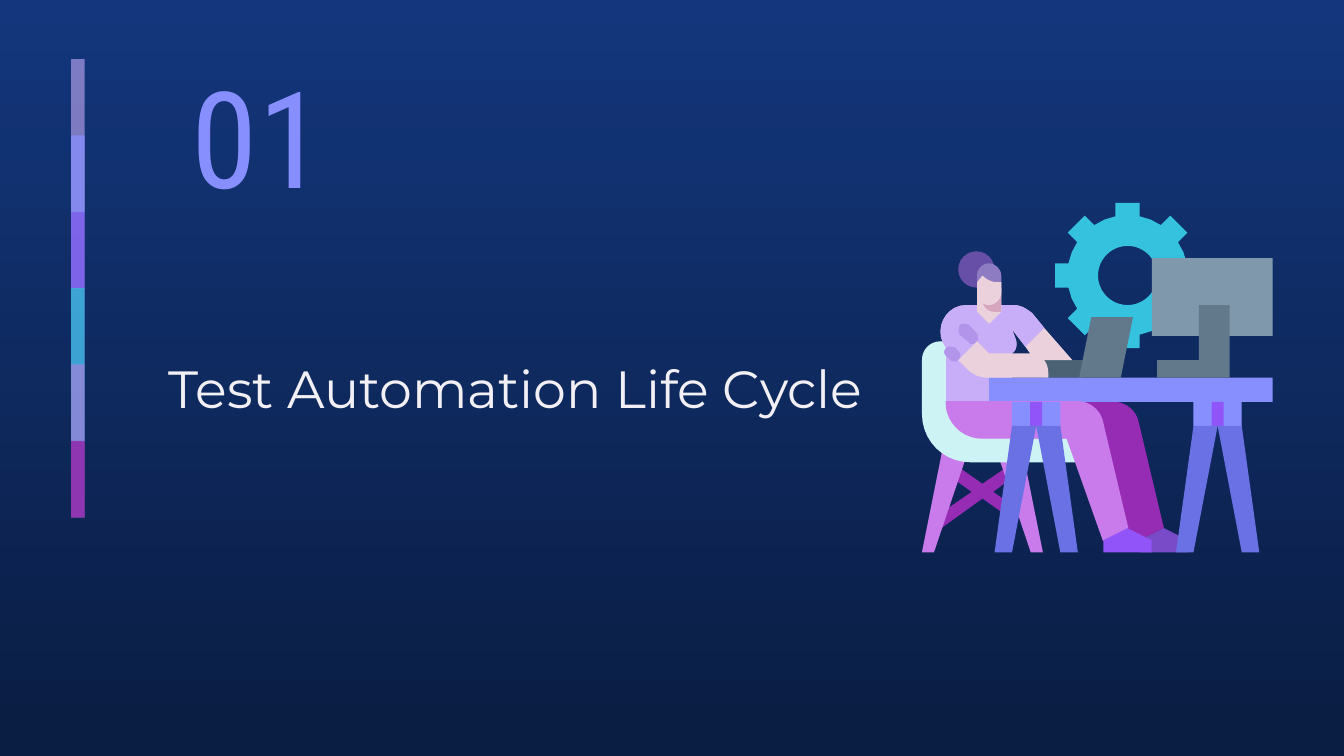
"""Build the section slide "Test Automation Life Cycle" with its desk scene."""
from math import cos, pi, sin

from lxml.etree import SubElement
from pptx import Presentation
from pptx.dml.color import RGBColor as RGB
from pptx.enum.shapes import MSO_SHAPE as Preset
from pptx.enum.text import MSO_ANCHOR as Anchor, PP_ALIGN as Align
from pptx.oxml.ns import qn
from pptx.util import Inches, Pt

NIGHT_TOP = RGB(0x13, 0x36, 0x7C)
NIGHT_BOTTOM = RGB(0x0A, 0x1D, 0x42)
WHITE = RGB(0xF2, 0xF0, 0xF4)
PERIWINKLE = RGB(0x87, 0x8F, 0xFF)
INDIGO = RGB(0x69, 0x71, 0xE5)
VIOLET = RGB(0x91, 0x54, 0xF8)
DARK_VIOLET = RGB(0x79, 0x4B, 0xC8)
ORCHID = RGB(0xCA, 0x7B, 0xEB)
MAGENTA = RGB(0x97, 0x2C, 0xB4)
LILAC = RGB(0xC8, 0xAE, 0xF8)
FOLD = RGB(0xB3, 0x94, 0xEB)
TEAL = RGB(0x35, 0xC2, 0xDF)
ICE = RGB(0xCE, 0xF3, 0xF5)
SKIN = RGB(0xEA, 0xD1, 0xDC)
SKIN_SHADE = RGB(0xD5, 0xA6, 0xBD)
BUN = RGB(0x67, 0x4E, 0xA7)
HAIR = RGB(0x8E, 0x7C, 0xC3)
STEEL = RGB(0x62, 0x79, 0x8C)
DARK_STEEL = RGB(0x4B, 0x62, 0x75)
SCREEN = RGB(0x80, 0x98, 0xAB)

STRIPES = [(LILAC, 59), (PERIWINKLE, 74), (VIOLET, 53),
           (TEAL, 76), (ORCHID, 56), (MAGENTA, 74)]

CHAIR_SEAT = [(7, 2.54), (6.92, 2.54, 6.86, 2.6, 6.86, 2.68), (6.86, 3.08),
              (6.86, 3.28, 7.02, 3.44, 7.22, 3.44), (8.07, 3.44), (8.07, 3.22),
              (7.31, 3.22), (7.19, 3.22, 7.09, 3.12, 7.09, 2.99), (7.09, 2.54)]
CHAIR_BRACE = [(7.11, 3.46), (7.06, 3.54), (7.23, 3.66), (6.94, 3.86), (6.99, 3.94),
               (7.31, 3.71), (7.48, 3.83), (7.53, 3.76), (7.39, 3.66), (7.55, 3.54),
               (7.5, 3.47), (7.31, 3.6)]
CHAIR_LEG = [(7.4, 3.31), (7.67, 4.11), (7.76, 4.11), (7.6, 3.31)]
TORSO = [(7.19, 2.27), (7.03, 2.27, 6.94, 2.46, 7.04, 2.59), (7.04, 2.99), (7.53, 2.99),
         (7.53, 2.63), (7.56, 2.61, 7.57, 2.57, 7.56, 2.53), (7.53, 2.45), (7.63, 2.58)]
FAR_FOREARM = [(7.7, 2.68), (7.98, 2.68)]
FAR_SHOULDER = [(7.77, 2.44), (7.68, 2.33), (7.64, 2.3, 7.6, 2.27, 7.54, 2.27)]
LOWER_FOLD = [(7.07, 2.58), (7.06, 2.58, 7.05, 2.58, 7.04, 2.59),
              (7.02, 2.61, 7.02, 2.63, 7.04, 2.65), (7.07, 2.68),
              (7.08, 2.69, 7.09, 2.69, 7.1, 2.69), (7.11, 2.69, 7.12, 2.69, 7.13, 2.68),
              (7.15, 2.66, 7.15, 2.63, 7.13, 2.61), (7.11, 2.59),
              (7.1, 2.58, 7.08, 2.58, 7.07, 2.58)]
UPPER_FOLD = [(7.18, 2.41), (7.17, 2.41, 7.15, 2.41, 7.14, 2.42),
              (7.13, 2.44, 7.13, 2.47, 7.14, 2.49), (7.2, 2.54),
              (7.21, 2.55, 7.22, 2.56, 7.23, 2.56), (7.25, 2.56, 7.26, 2.55, 7.27, 2.54),
              (7.28, 2.53, 7.28, 2.5, 7.27, 2.48), (7.21, 2.42),
              (7.2, 2.41, 7.19, 2.41, 7.18, 2.41)]
NECK = [(7.27, 2.14), (7.27, 2.32), (7.36, 2.41), (7.45, 2.32), (7.45, 2.14)]
NEAR_FOREARM = [(7.27, 2.54), (7.13, 2.68), (7.21, 2.76), (7.25, 2.79, 7.29, 2.81, 7.34, 2.81),
                (7.8, 2.81), (7.8, 2.77), (7.8, 2.69, 7.74, 2.63, 7.67, 2.63), (7.36, 2.63)]
LAPTOP_LID = [(8.12, 2.36), (8.03, 2.81), (8.34, 2.81), (8.43, 2.36)]
THIGH = [(7.04, 2.99), (7.04, 3.14, 7.16, 3.26, 7.31, 3.26), (7.94, 3.26)]
SHIN = [(8.21, 4.02), (8.39, 3.93), (8.2, 3.13), (8.18, 3.05, 8.1, 2.99, 8.02, 2.99)]
FAR_HEEL = [(8.39, 4.02)]
SHOE = [(8.39, 3.93), (8.21, 4.02), (8.21, 4.11), (8.57, 4.11), (8.57, 4.02)]
MONITOR_STAND = [(8.92, 2.27), (8.92, 2.68), (8.61, 2.68), (8.61, 2.81), (9.15, 2.81), (9.15, 2.27)]
CHIN_SHADE = [(7.31, 2.14), (7.31, 2.23), (7.31, 2.28, 7.35, 2.32, 7.4, 2.32),
              (7.45, 2.32), (7.45, 2.14)]
HAIRLINE = [(7.36, 1.96), (7.31, 1.96, 7.27, 2, 7.27, 2.05), (7.27, 2.14), (7.45, 2.14),
            (7.45, 2.05), (7.45, 2, 7.4, 1.96, 7.36, 1.96)]
FACE = [(7.31, 2.05), (7.27, 2.1), (7.27, 2.18), (7.27, 2.23, 7.31, 2.27, 7.36, 2.27),
        (7.4, 2.27, 7.45, 2.23, 7.45, 2.18), (7.45, 2.1), (7.42, 2.1),
        (7.38, 2.1, 7.34, 2.08, 7.31, 2.05)]


def paint(shape, color, border=None):
    shape.shadow.inherit = False
    shape.fill.solid()
    shape.fill.fore_color.rgb = color
    if border:
        shape.line.color.rgb = border
        shape.line.width = Pt(0.75)
    else:
        shape.line.fill.background()


def flatten(steps, pieces=10):
    points = []
    for step in steps:
        if len(step) == 2:
            points.append(step)
            continue
        controls = [points[-1], step[:2], step[2:4], step[4:]]
        for t in (n / pieces for n in range(1, pieces + 1)):
            weights = ((1 - t) ** 3, 3 * t * (1 - t) ** 2, 3 * t * t * (1 - t), t ** 3)
            points.append(tuple(sum(w * c[axis] for w, c in zip(weights, controls))
                                for axis in (0, 1)))
    return points


def add_outline(group, color, *contours, border=None):
    builder = None
    for contour in contours:
        corners = [(Inches(x), Inches(y)) for x, y in flatten(contour)]
        if builder is None:
            builder = group.shapes.build_freeform(*corners[0])
        else:
            builder.move_to(*corners[0])
        builder.add_line_segments(corners[1:], close=True)
    paint(builder.convert_to_shape(), color, border)


def add_preset(group, color, left, top, width, height, preset=Preset.RECTANGLE):
    shape = group.shapes.add_shape(preset, *map(Inches, (left, top, width, height)))
    paint(shape, color)
    return shape


def mirror(points, axis):
    return [(2 * axis - x, y) for x, y in points]


def shift(steps, dx):
    return [tuple(v + dx if i % 2 == 0 else v for i, v in enumerate(step)) for step in steps]


def add_gear(group, cx, cy):
    rim = []
    for turn in (n * pi / 4 for n in range(8)):
        tooth = [(-0.09, -0.44), (-0.09, -0.54), (0.09, -0.54), (0.09, -0.44)]
        rim += [(cx + x * cos(turn) - y * sin(turn), cy + x * sin(turn) + y * cos(turn))
                for x, y in tooth]
        rim.append((cx + 0.45 * sin(turn + pi / 8), cy - 0.45 * cos(turn + pi / 8)))
    hole = [(cx + 0.22 * cos(n * pi / 24), cy - 0.22 * sin(n * pi / 24)) for n in range(48)]
    add_outline(group, TEAL, rim, hole)


def add_trestle(group, cx):
    add_preset(group, PERIWINKLE, cx - 0.18, 2.99, 0.36, 0.18)
    add_preset(group, VIOLET, cx - 0.09 / 2, 2.99, 0.09, 0.18)
    leg = [(cx - 0.18, 3.17), (cx - 0.31, 4.11), (cx - 0.18, 4.11), (cx, 3.17)]
    add_outline(group, INDIGO, leg)
    add_outline(group, INDIGO, mirror(leg, cx))


def add_desk_scene(slide):
    scene = slide.shapes.add_group_shape()
    add_gear(scene, 8.39, 2.05)
    add_preset(scene, DARK_STEEL, 7.76, 2.68, 0.31, 0.13)
    for color, outline in ((MAGENTA, CHAIR_BRACE), (ORCHID, CHAIR_LEG),
                           (ORCHID, mirror(CHAIR_LEG, 7.31)), (ICE, CHAIR_SEAT),
                           (MAGENTA, shift(THIGH, 0.27) + FAR_HEEL + shift(SHIN, 0.27)),
                           (DARK_VIOLET, shift(SHOE, 0.27)),
                           (SKIN, TORSO + FAR_FOREARM + FAR_SHOULDER),
                           (LILAC, TORSO + FAR_SHOULDER)):
        add_outline(scene, color, outline)
    add_preset(scene, PERIWINKLE, 7.36, 2.81, 2.11, 0.18)
    for color, outline in ((FOLD, LOWER_FOLD), (FOLD, UPPER_FOLD), (SKIN, NECK),
                           (SKIN, NEAR_FOREARM), (STEEL, LAPTOP_LID)):
        add_outline(scene, color, outline)
    add_outline(scene, ORCHID, THIGH + SHIN, border=ORCHID)
    add_outline(scene, VIOLET, SHOE)
    add_preset(scene, SCREEN, 8.57, 1.92, 0.9, 0.58)
    add_outline(scene, STEEL, MONITOR_STAND)
    add_trestle(scene, 9.06)
    add_trestle(scene, 7.71)
    add_outline(scene, SKIN_SHADE, CHIN_SHADE)
    add_preset(scene, BUN, 7.13, 1.87, 0.27, 0.27, Preset.OVAL)
    add_outline(scene, HAIR, HAIRLINE)
    add_outline(scene, SKIN, FACE)


def add_stripe_column(slide):
    column = slide.shapes.add_group_shape()
    for i, (color, opacity) in enumerate(STRIPES):
        height = 0.57 if i == len(STRIPES) - 1 else 1.14
        stripe = add_preset(column, color, 0.53, 0.44 + i * 2.84 / 5, 0.1, height)
        tint = stripe.fill._xPr.find(qn("a:solidFill"))[0]
        SubElement(tint, qn("a:alpha"), val=str(opacity * 1000))


def add_text(slide, box, words, font, size, color, anchor, align, spacing=None):
    frame = slide.shapes.add_textbox(*map(Inches, box)).text_frame
    frame.word_wrap = True
    frame.vertical_anchor = anchor
    frame.margin_left = frame.margin_right = Inches(0.1)
    frame.margin_top = frame.margin_bottom = Inches(0.1)
    line = frame.paragraphs[0]
    line.alignment = align
    line.line_spacing = spacing
    run = line.add_run()
    run.text = words
    run.font.name, run.font.size = font, Pt(size)
    run.font.color.rgb = color


def set_night_background(slide):
    fill = slide.background.fill
    fill.gradient()
    fill.gradient_angle = 270
    for stop, color in zip(fill.gradient_stops, (NIGHT_TOP, NIGHT_BOTTOM)):
        stop.color.rgb = color


def main():
    deck = Presentation()
    deck.slide_width, deck.slide_height = Inches(10), Inches(10 * 9 / 16)
    slide = deck.slides.add_slide(deck.slide_layouts[6])
    set_night_background(slide)
    add_text(slide, (1.33, 0.33, 1.75, 1.35), "01", "Roboto Condensed", 72,
             PERIWINKLE, Anchor.MIDDLE, Align.LEFT)
    add_text(slide, (0.73, 1.86, 6.21, 0.96), "Test Automation Life Cycle", "Montserrat", 28,
             WHITE, Anchor.TOP, Align.CENTER, Pt(83.5))
    add_desk_scene(slide)
    add_stripe_column(slide)
    deck.save("out.pptx")


if __name__ == "__main__":
    main()
